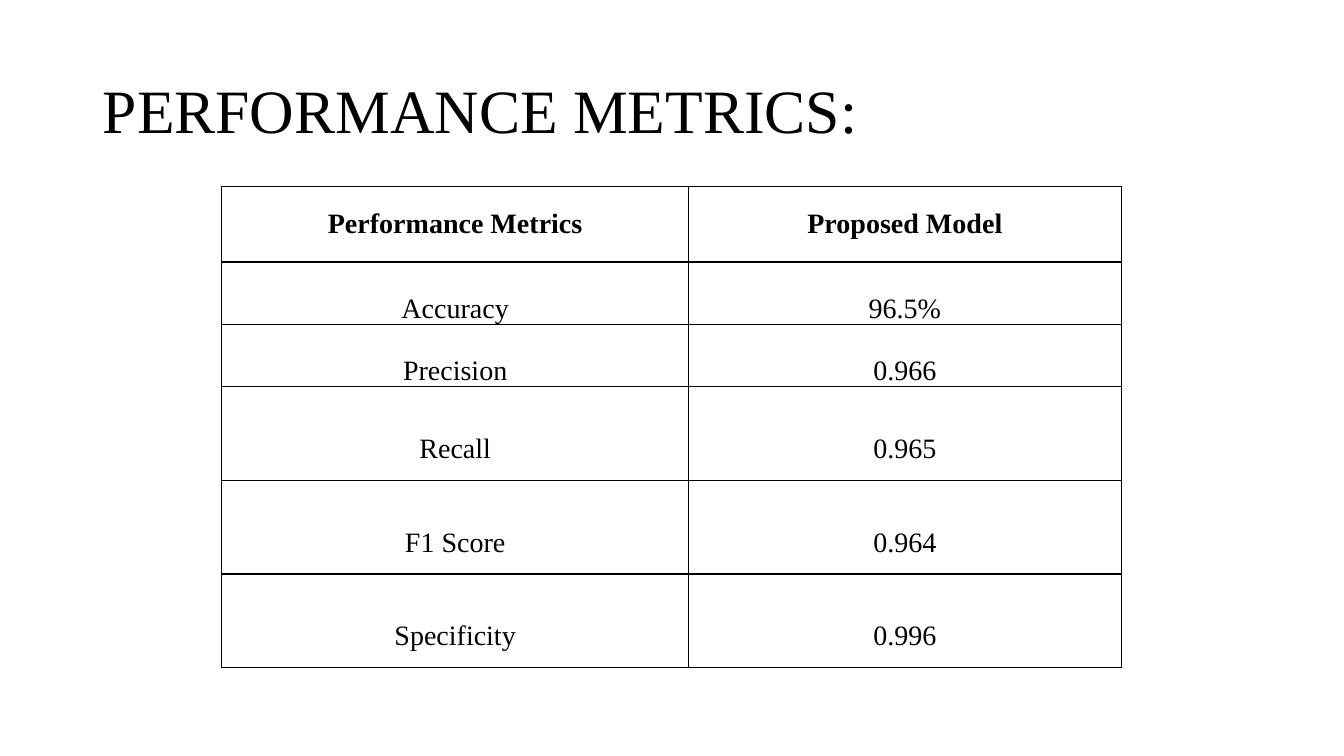
from typing import NamedTuple

import lxml.etree
import pptx
import pptx.dml.color
import pptx.enum.text
import pptx.oxml.ns
import pptx.util

Inches = pptx.util.Inches
Pt = pptx.util.Pt
qn = pptx.oxml.ns.qn
ALIGN = pptx.enum.text.PP_ALIGN
MIDDLE = pptx.enum.text.MSO_ANCHOR.MIDDLE

FONT = "Times New Roman"
BLACK = "000000"


class Metric(NamedTuple):
    name: str
    value: str
    height: float
    bold: bool = False
    spacing: float = 2.0


COLUMN_WIDTHS = (4.63, 4.29)
METRICS = [
    Metric("Performance Metrics", "Proposed Model", 0.75, bold=True, spacing=1.0),
    Metric("Accuracy", "96.5%", 0.34),
    Metric("Precision", "0.966", 0.59),
    Metric("Recall", "0.965", 0.93),
    Metric("F1 Score", "0.964", 0.93),
    Metric("Specificity", "0.996", 0.93),
]


def rgb(color: str) -> pptx.dml.color.RGBColor:
    return pptx.dml.color.RGBColor.from_string(color)


def write(tf, text: str, *, size: float, bold: bool = False, color: str = BLACK,
          align=ALIGN.LEFT, spacing: float = 1.0) -> None:
    p = tf.paragraphs[0]
    p.alignment = align
    p.line_spacing = spacing
    r = p.add_run()
    r.text = text
    r.font.name = FONT
    r.font.size = Pt(size)
    r.font.bold = bold
    r.font.color.rgb = rgb(color)


def add_borders(cell, color: str = BLACK, width: float = 1) -> None:
    tc_pr = cell._tc.get_or_add_tcPr()
    for index, side in enumerate(("a:lnL", "a:lnR", "a:lnT", "a:lnB")):
        ln = lxml.etree.Element(qn(side), w=str(Pt(width)))
        fill = lxml.etree.SubElement(ln, qn("a:solidFill"))
        lxml.etree.SubElement(fill, qn("a:srgbClr"), val=color)
        tc_pr.insert(index, ln)


def fill_cell(cell, text: str, metric: Metric) -> None:
    cell.fill.background()
    cell.vertical_anchor = MIDDLE
    cell.margin_left = cell.margin_right = Inches(0.07)
    cell.margin_top = cell.margin_bottom = 0
    write(cell.text_frame, text, size=20, bold=metric.bold,
          align=ALIGN.CENTER, spacing=metric.spacing)
    add_borders(cell)


def add_metrics_table(s, left: float, top: float) -> None:
    table = s.shapes.add_table(
        len(METRICS), len(COLUMN_WIDTHS), Inches(left), Inches(top),
        Inches(sum(COLUMN_WIDTHS)), Inches(sum(m.height for m in METRICS))).table
    table.first_row = table.horz_banding = False
    for column, width in zip(table.columns, COLUMN_WIDTHS):
        column.width = Inches(width)
    for row, metric in zip(table.rows, METRICS):
        row.height = Inches(metric.height)
        for cell, text in zip(row.cells, (metric.name, metric.value)):
            fill_cell(cell, text, metric)


def main() -> None:
    prs = pptx.Presentation()
    prs.slide_width, prs.slide_height = Inches(13.33), Inches(7.5)
    s = prs.slides.add_slide(prs.slide_layouts[5])

    # Title
    title = s.shapes.title
    title.left, title.top = Inches(0.92), Inches(0.4)
    title.width, title.height = Inches(11.5), Inches(1.45)
    title.text_frame.vertical_anchor = MIDDLE
    write(title.text_frame, "PERFORMANCE METRICS:", size=44, spacing=0.9)

    # Metrics table
    add_metrics_table(s, 2.2, 1.85)

    prs.save("out.pptx")


if __name__ == "__main__":
    main()
